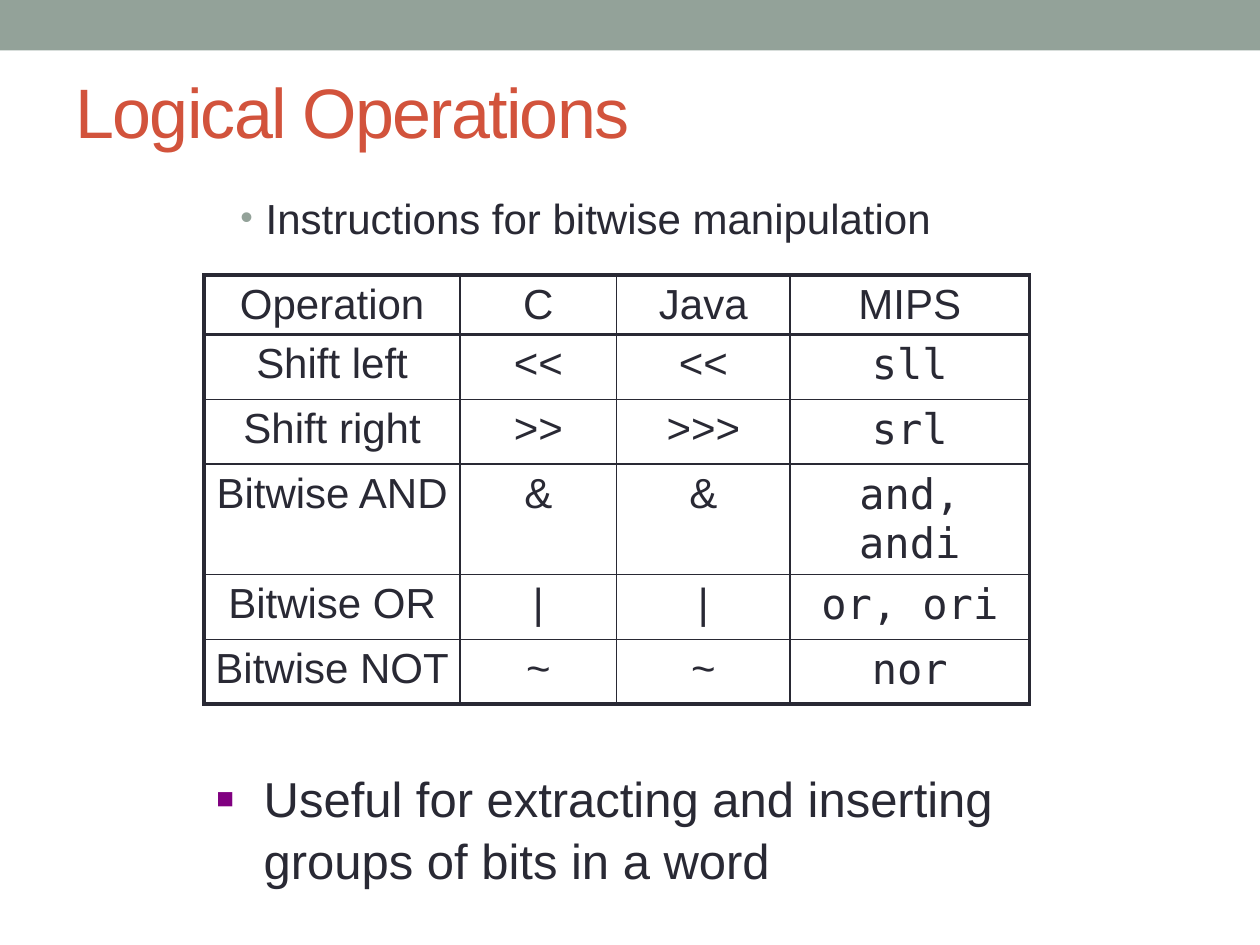
"""Build a slide that lists logical operations in C, Java and MIPS."""
from lxml import etree
from pptx import Presentation
from pptx.dml.color import RGBColor
from pptx.enum.shapes import MSO_SHAPE
from pptx.enum.text import MSO_ANCHOR, PP_ALIGN
from pptx.oxml.ns import qn
from pptx.util import Pt

RECTANGLE = MSO_SHAPE.RECTANGLE
MIDDLE, TOP = MSO_ANCHOR.MIDDLE, MSO_ANCHOR.TOP
CENTER, LEFT = PP_ALIGN.CENTER, PP_ALIGN.LEFT

SAGE = RGBColor(0x93, 0xA2, 0x99)
RUST = RGBColor(0xD2, 0x53, 0x3C)
INK = RGBColor(0x29, 0x29, 0x34)
PURPLE = RGBColor(0x80, 0x00, 0x80)
SANS, MONO = "Arial", "DejaVu Sans Mono"

WIDTH, HEIGHT = 720, 540
BAR_HEIGHT = 28.8
TITLE = "Logical Operations"
TITLE_BOX = (36, 24.5, 648, 77.8)
BULLETS = [
    {"text": "Instructions for bitwise manipulation", "box": (130.3, 103, 488.2, 54.7),
     "size": 24, "indent": 14.4, "mark": "•", "color": SAGE, "scale": 85},
    {"text": "Useful for extracting and inserting groups of bits in a word",
     "box": (116.6, 432, 459.4, 88.6),
     "size": 28, "indent": 27, "mark": "■", "color": PURPLE, "scale": 60},
]
OPERATIONS = [
    ("Operation", "C", "Java", "MIPS"),
    ("Shift left", "<<", "<<", "sll"),
    ("Shift right", ">>", ">>>", "srl"),
    ("Bitwise AND", "&", "&", "and, andi"),
    ("Bitwise OR", "|", "|", "or, ori"),
    ("Bitwise NOT", "~", "~", "nor"),
]
TABLE_LEFT, TABLE_TOP = 116.6, 157.2
COLUMN_WIDTHS = (146.4, 89.4, 99.1, 136.9)
ROW_HEIGHTS = (33.8, 37, 37, 63, 37, 37)
OUTER, HEADER, INNER = 2.25, 1.5, 1


def set_values(target, values):
    for name, value in values.items():
        setattr(target, name, value)


def write(paragraph, text, size, color=INK, font=SANS, align=LEFT):
    paragraph.alignment = align
    run = paragraph.add_run()
    run.text = text
    set_values(run.font, {"name": font, "size": Pt(size), "bold": False})
    run.font.color.rgb = color
    return run


def add_bullet(slide, item):
    shape = slide.shapes.add_textbox(*map(Pt, item["box"]))
    set_values(shape.text_frame, {"word_wrap": True, "margin_top": Pt(5.5)})
    paragraph = shape.text_frame.paragraphs[0]
    properties = paragraph._p.get_or_add_pPr()
    properties.set("marL", str(Pt(item["indent"])))
    properties.set("indent", str(-Pt(item["indent"])))
    color = etree.SubElement(properties, qn("a:buClr"))
    etree.SubElement(color, qn("a:srgbClr"), val=str(item["color"]))
    etree.SubElement(properties, qn("a:buSzPct"), val=str(item["scale"] * 1000))
    etree.SubElement(properties, qn("a:buFont"), typeface=SANS)
    etree.SubElement(properties, qn("a:buChar"), char=item["mark"])
    paragraph.line_spacing = 1.05
    write(paragraph, item["text"], item["size"])


def set_borders(cell, widths):
    properties = cell._tc.get_or_add_tcPr()
    for position, (side, width) in enumerate(widths.items()):
        line = etree.Element(qn(f"a:ln{side}"), w=str(Pt(width)))
        fill = etree.SubElement(line, qn("a:solidFill"))
        etree.SubElement(fill, qn("a:srgbClr"), val=str(INK))
        properties.insert(position, line)


def horizontal_line(index):
    if index in (0, len(OPERATIONS)):
        return OUTER
    return HEADER if index == 1 else INNER


def vertical_line(index):
    return OUTER if index in (0, len(COLUMN_WIDTHS)) else INNER


def add_operations_table(slide):
    frame = slide.shapes.add_table(
        len(OPERATIONS), len(COLUMN_WIDTHS), Pt(TABLE_LEFT), Pt(TABLE_TOP),
        Pt(sum(COLUMN_WIDTHS)), Pt(sum(ROW_HEIGHTS)))
    table = frame.table
    set_values(table, {"first_row": False, "horz_banding": False})
    for column, width in zip(table.columns, COLUMN_WIDTHS):
        column.width = Pt(width)
    for row, height in zip(table.rows, ROW_HEIGHTS):
        row.height = Pt(height)
    cell_format = {"margin_left": Pt(5), "margin_right": Pt(5), "margin_top": Pt(3.6),
                   "margin_bottom": Pt(3.6), "vertical_anchor": TOP}
    for row, texts in enumerate(OPERATIONS):
        for column, text in enumerate(texts):
            cell = table.cell(row, column)
            set_values(cell, cell_format)
            cell.fill.background()
            set_borders(cell, {"L": vertical_line(column), "R": vertical_line(column + 1),
                               "T": horizontal_line(row), "B": horizontal_line(row + 1)})
            is_code = row > 0 and column == len(texts) - 1
            write(cell.text_frame.paragraphs[0], text, 24,
                  font=MONO if is_code else SANS, align=CENTER)


def add_bar(slide):
    bar = slide.shapes.add_shape(RECTANGLE, 0, 0, Pt(WIDTH), Pt(BAR_HEIGHT))
    bar.shadow.inherit = False
    bar.fill.solid()
    bar.fill.fore_color.rgb = SAGE
    bar.line.fill.background()


def add_title(slide):
    title = slide.shapes.title
    set_values(title, dict(zip(("left", "top", "width", "height"), map(Pt, TITLE_BOX))))
    set_values(title.text_frame, {"vertical_anchor": MIDDLE, "word_wrap": True})
    run = write(title.text_frame.paragraphs[0], TITLE, 40, RUST)
    run._r.get_or_add_rPr().set("spc", "-100")


def main():
    presentation = Presentation()
    set_values(presentation, {"slide_width": Pt(WIDTH), "slide_height": Pt(HEIGHT)})
    slide = presentation.slides.add_slide(presentation.slide_layouts[5])
    add_bar(slide)
    add_title(slide)
    add_operations_table(slide)
    for item in BULLETS:
        add_bullet(slide, item)
    presentation.save("out.pptx")


if __name__ == "__main__":
    main()
